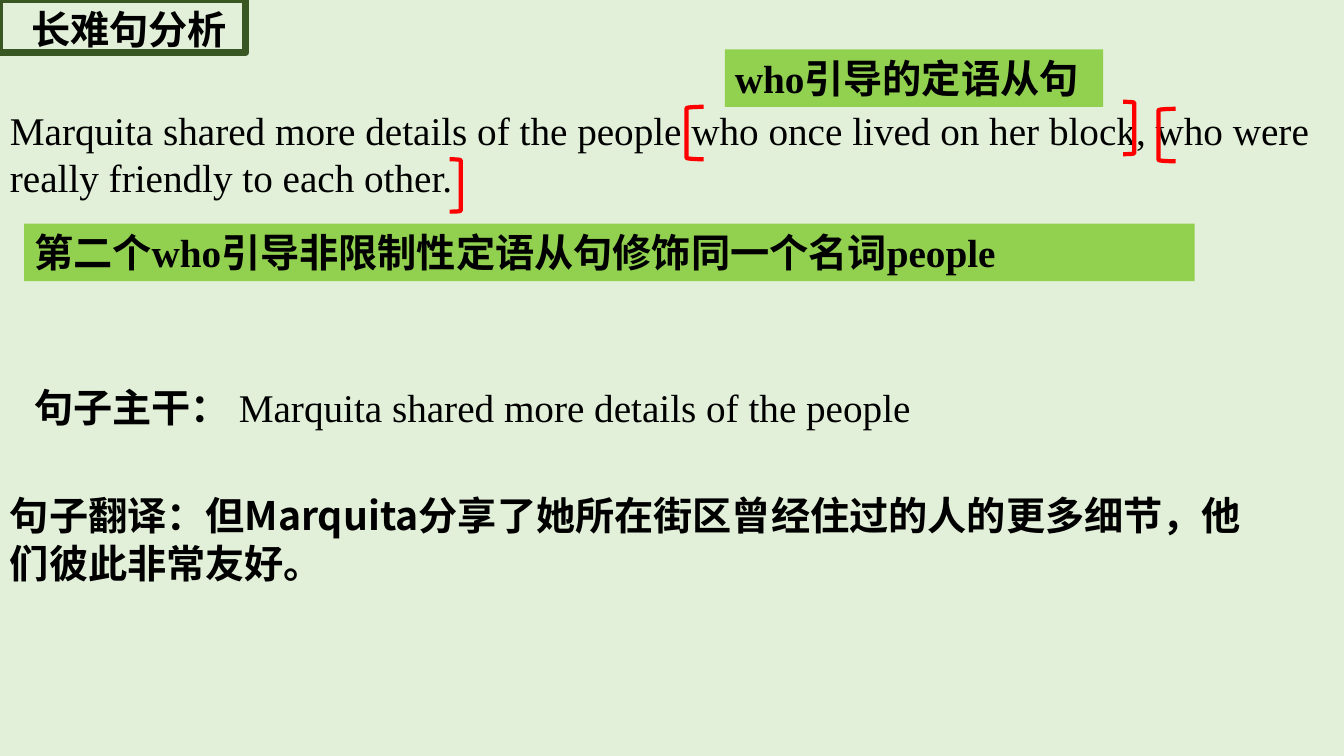
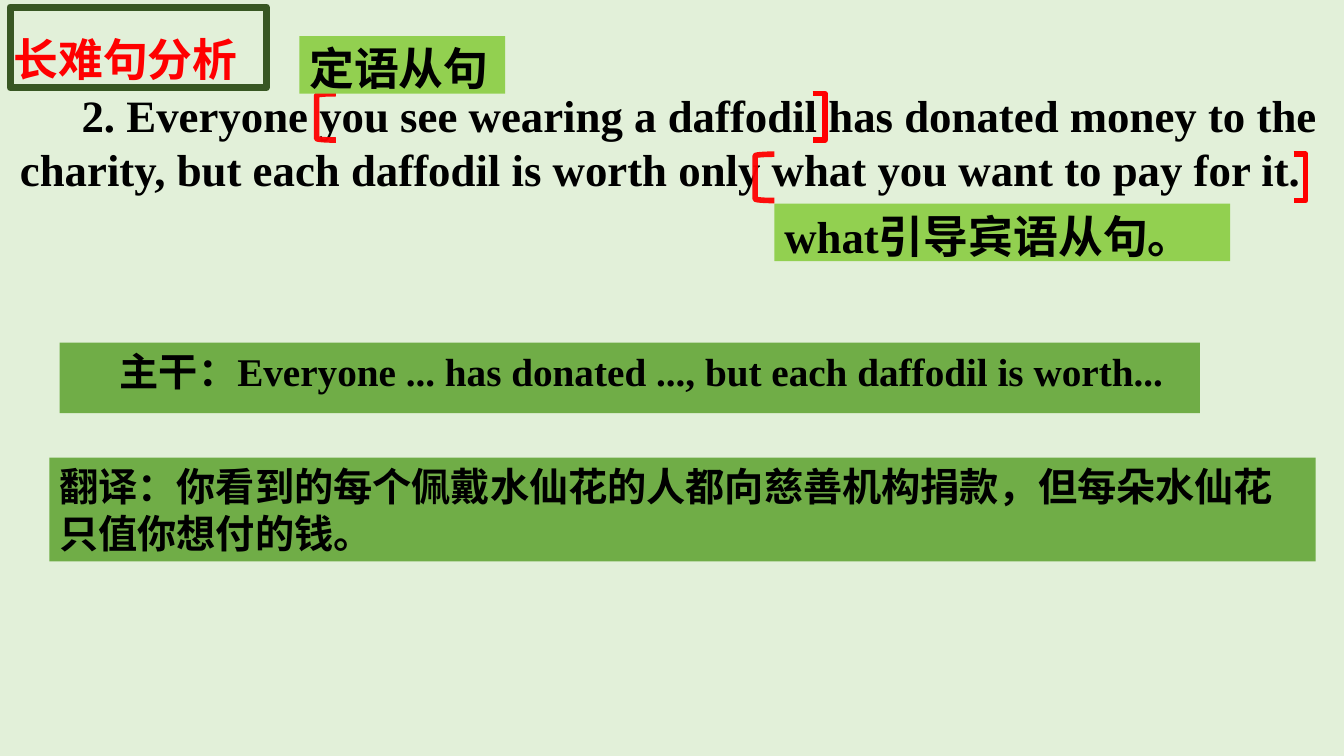
import pptx
import pptx.util
import pptx.dml.color
import pptx.enum.shapes
import pptx.enum.text
import pptx.oxml.ns
from lxml import etree

Inches = pptx.util.Inches
Shape = pptx.enum.shapes.MSO_SHAPE
qn = pptx.oxml.ns.qn

COLORS = {
    "page": "E2F0D9", "frame": "385723", "ink": "000000", "red": "FF0000",
    "lime": "92D050", "green": "70AD47",
}
SERIF, SANS = "Times New Roman", "Noto Sans CJK SC"

# Each item: kind, (left, top, width, height), options; listed back to front.
BLOCK = [
    ("frame", (0, 0, 2.44, 0.52), {}),
    ("text", (0.21, 0, 2.17, 0.57), {"runs": [("长难句分析", SANS, True)]}),
    ("text", (0, 1.01, 13.33, 1.04), {"runs": [(
        "Marquita shared more details of the people who once lived on her block, "
        "who were really friendly to each other.", SERIF, False)]}),
    ("text", (7.19, 0.49, 3.75, 0.57),
     {"runs": [("who引导的定语从句", SERIF, True)], "fill": "lime"}),
    ("text", (0.24, 2.22, 11.61, 0.57),
     {"runs": [("第二个who引导非限制性定语从句修饰同一个名词people", SERIF, True)],
      "fill": "lime"}),
    ("text", (0.24, 3.75, 9.02, 0.57), {"runs": [
        ("句子主干： ", SANS, True),
        ("Marquita shared more details of the people", SERIF, False)]}),
    ("text", (0, 4.83, 12.71, 1.04), {"runs": [(
        "句子翻译：但Marquita分享了她所在街区曾经住过的人的更多细节，他们彼此非常友好。",
        SANS, True)]}),
    ("left", (6.81, 1.06, 0.17, 0.52), {}),
    ("right", (11.14, 1.01, 0.11, 0.52), {}),
    ("left", (11.49, 1.08, 0.17, 0.52), {}),
    ("right", (4.46, 1.58, 0.11, 0.52), {}),
]
BOLD = {"width": 4, "alpha": 94}
SQUARE = {"width": 4, "curve": 0}
CHARITY = [
    ("text", (0, 0, 2.49, 0.82),
     {"runs": [("长难句分析", SANS, True)], "size": 32, "color": "red",
      "center": True, "spacing": 1.5}),
    ("text", (0.1, 0.82, 13.23, 1.18), {"runs": [(
        " 2. Everyone you see wearing a daffodil has donated money to the charity, "
        "but each daffodil is worth only what you want to pay for it.", SERIF, True)],
        "size": 32, "indent": 0.5}),
    ("frame", (0.1, 0.07, 2.54, 0.8), {}),
    ("text", (0.49, 4.54, 12.56, 1.03), {"runs": [(
        "翻译：你看到的每个佩戴水仙花的人都向慈善机构捐款，但每朵水仙花只值你想付的钱。",
        SERIF, True)], "fill": "green"}),
    ("left", (3.14, 0.93, 0.19, 0.46), BOLD),
    ("right", (8.06, 0.93, 0.12, 0.46), SQUARE),
    ("text", (2.97, 0.36, 2.04, 0.57),
     {"runs": [("定语从句", SERIF, True)], "size": 32, "fill": "lime"}),
    ("text", (7.68, 2.02, 4.52, 0.57),
     {"runs": [("what引导宾语从句。", SERIF, True)], "size": 32, "fill": "lime"}),
    ("text", (0.59, 3.4, 11.31, 0.7), {"runs": [(
        "主干：Everyone ... has donated ..., but each daffodil is worth...",
        SERIF, True)], "fill": "green", "indent": 0.5}),
    ("left", (7.49, 1.53, 0.19, 0.46), BOLD),
    ("right", (12.83, 1.53, 0.12, 0.46), SQUARE),
]


def paint(fill, name):
    fill.solid()
    fill.fore_color.rgb = pptx.dml.color.RGBColor.from_string(COLORS[name])


def outline(slide, kind, box, color, width):
    """Add an unfilled preset shape with a coloured line."""
    shape = slide.shapes.add_shape(kind, *map(Inches, box))
    shape.shadow.inherit = False
    shape.fill.background()
    paint(shape.line.fill, color)
    shape.line.width = pptx.util.Pt(width)
    return shape


def frame(slide, box):
    outline(slide, Shape.RECTANGLE, box, "frame", 5)


def bracket(slide, kind, box, width=3, curve=None, alpha=None):
    shape = outline(slide, kind, box, "red", width)
    if curve is not None:
        shape.adjustments[0] = curve
    if alpha:
        color = shape.line._get_or_add_ln().find(".//" + qn("a:srgbClr"))
        etree.SubElement(color, qn("a:alpha"), val=str(alpha * 1000))


def left(slide, box, **look):
    bracket(slide, Shape.LEFT_BRACKET, box, **look)


def right(slide, box, **look):
    bracket(slide, Shape.RIGHT_BRACKET, box, **look)


def text(slide, box, runs, size=28, color="ink", fill=None, indent=0,
         center=False, spacing=None):
    shape = slide.shapes.add_textbox(*map(Inches, box))
    if fill:
        paint(shape.fill, fill)
    body = shape.text_frame
    body.word_wrap = True
    body.vertical_anchor = pptx.enum.text.MSO_ANCHOR.TOP
    para = body.paragraphs[0]
    if center:
        para.alignment = pptx.enum.text.PP_ALIGN.CENTER
    if spacing:
        para.line_spacing = spacing
    if indent:
        props = para._p.get_or_add_pPr()
        props.set("marL", "0")
        props.set("indent", str(Inches(indent)))
    for words, face, bold in runs:
        run = para.add_run()
        run.text = words
        font = run.font
        font.name, font.size, font.bold = face, pptx.util.Pt(size), bold
        paint(font.fill, color)
        etree.SubElement(run._r.get_or_add_rPr(), qn("a:ea"), typeface=SANS)


DRAW = {"frame": frame, "left": left, "right": right, "text": text}


def main():
    deck = pptx.Presentation()
    deck.slide_width, deck.slide_height = Inches(13.33), Inches(7.5)
    paint(deck.slide_master.background.fill, "page")
    for items in (BLOCK, CHARITY):
        slide = deck.slides.add_slide(deck.slide_layouts[6])
        for kind, box, look in items:
            DRAW[kind](slide, box, **look)
    deck.save("out.pptx")


if __name__ == "__main__":
    main()
